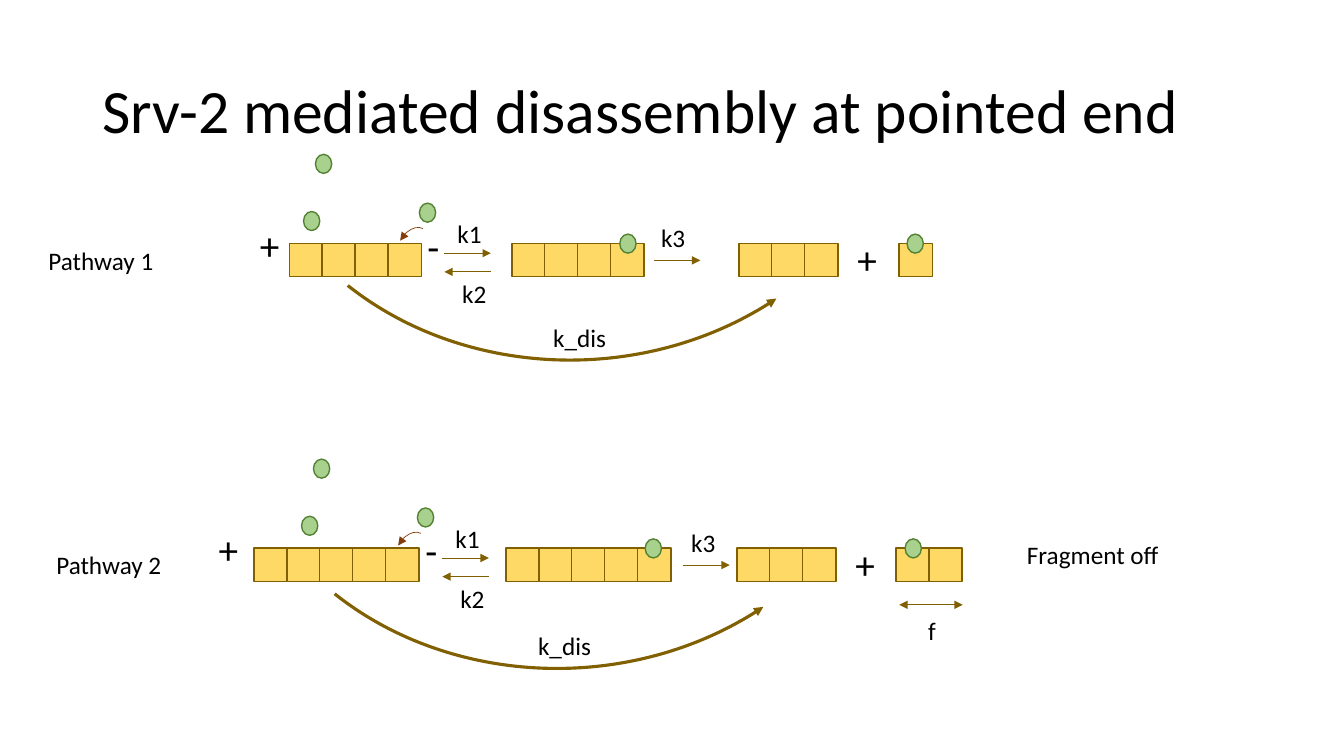
from pptx import Presentation, util as u
from pptx.dml.color import RGBColor
from pptx.enum import shapes as sh, text as tx
from pptx.oxml.ns import qn
from lxml import etree

Cm, Pt = u.Cm, u.Pt
KIND = sh.MSO_SHAPE
HUES = {"cell": "FFD966", "gold": "806000", "dot": "A9D18E",
        "green": "548235", "brown": "843C0B", "ink": "000000"}
CELL, PITCH = 0.84, 0.83


def draw(item, edge, width, fill=None, ends=()):
    item.line.color.rgb = RGBColor.from_string(HUES[edge])
    item.line.width = Pt(width)
    props = item._element.spPr
    for end in ends:
        etree.SubElement(props.find(qn("a:ln")), qn("a:" + end), type="triangle")
    etree.SubElement(props, qn("a:effectLst"))
    if fill:
        item.fill.solid()
        item.fill.fore_color.rgb = RGBColor.from_string(HUES[fill])


def label(home, words, x, y, wide, size=18):
    box = home.add_textbox(Cm(x), Cm(y), Cm(wide), Cm(1.45 if size > 18 else 1.02))
    box.text_frame.word_wrap = False
    box.text_frame.auto_size = tx.MSO_AUTO_SIZE.SHAPE_TO_FIT_TEXT
    para = box.text_frame.paragraphs[0]
    para.text = words
    para.font.size = Pt(size)
    para.font.name = "Calibri"
    para.font.color.rgb = RGBColor.from_string(HUES["ink"])


deck = Presentation()
deck.slide_width, deck.slide_height = Cm(33.87), Cm(19.05)
slide = deck.slides.add_slide(deck.slide_layouts[5])

title = slide.shapes.title
title.left, title.top, title.width, title.height = Cm(2.33), Cm(1.01), Cm(29.21), Cm(3.68)
title.text_frame.text = "Srv-2 mediated disassembly at pointed end"
title.text_frame.vertical_anchor = tx.MSO_ANCHOR.MIDDLE
head = title.text_frame.paragraphs[0]
head.alignment = tx.PP_ALIGN.LEFT
head.line_spacing = 0.9
head.font.size = Pt(44)
head.font.name = "Calibri"
head.font.color.rgb = RGBColor.from_string(HUES["ink"])

paths = [
    {"name": "Pathway 1", "left": 0.97, "dx": 0, "top": 6.13,
     "strips": [(7.29, 4), (12.9, 4), (18.62, 3), (22.66, 1)],
     "bound": [15.62, 22.86], "plus": 6.3, "k3": 16.41, "step": 16.48,
     "dis": (13.69, 1.87), "curve": (6.1, -11.54)},
    {"name": "Pathway 2", "left": 1.17, "dx": -0.05, "top": 13.81,
     "strips": [(6.4, 5), (12.75, 5), (18.57, 3), (22.58, 2)],
     "bound": [16.26, 22.81], "plus": 5.26, "k3": 17.17, "step": 17.22,
     "dis": (13.31, 1.96), "curve": (5.77, -11.45)},
]

for path in paths:
    top, dx = path["top"], path["dx"]
    group = slide.shapes.add_group_shape().shapes

    for left, count in path["strips"]:
        for i in range(count):
            cell = group.add_shape(KIND.RECTANGLE, Cm(left + i * PITCH), Cm(top),
                                   Cm(CELL), Cm(CELL))
            draw(cell, "gold", 1, "cell")

    dots = [(x, -0.23) for x in path["bound"]]
    dots += [(x + dx, y) for x, y in [(10.57, -1.01), (7.95, -2.24), (7.65, -0.8)]]
    for x, y in dots:
        dot = group.add_shape(KIND.OVAL, Cm(x), Cm(top + y), Cm(0.41), Cm(0.48))
        draw(dot, "green", 1, "dot")

    hook = group.add_shape(KIND.ARC, Cm(9.85 + dx), Cm(top - 0.25), Cm(1.09), Cm(0.71))
    hook.rotation = 299
    hook.fill.background()
    draw(hook, "brown", 0.5, ends=["headEnd"])

    for x1, x2, y in [(11.2 + dx, 12.37 + dx, 0.25), (12.37 + dx, 11.2 + dx, 0.72),
                      (path["step"], path["step"] + 1.17, 0.43)]:
        arrow = group.add_connector(sh.MSO_CONNECTOR.STRAIGHT, Cm(x1), Cm(top + y),
                                    Cm(x2), Cm(top + y))
        draw(arrow, "gold", 0.5, ends=["tailEnd"])

    for words, x, y, wide, size in [
            ("+", path["plus"], -0.69, 1.02, 28), ("-", 10.52 + dx, -0.66, 0.81, 28),
            ("+", 21.36 + dx, -0.33, 1.02, 28), ("k1", 11.28 + dx, -0.76, 1.12, 18),
            ("k2", 11.4 + dx, 0.76, 1.12, 18), ("k3", path["k3"], -0.64, 1.12, 18),
            ("k_dis", *path["dis"], 1.85, 18)]:
        label(group, words, x, top + y, wide, size)

    x, y = path["curve"]
    curve = slide.shapes.add_shape(KIND.ARC, Cm(x), Cm(top + y), Cm(16.76), Cm(14.48))
    curve.rotation = 177.2
    curve.adjustments[0], curve.adjustments[1] = 138.62, 191.78
    curve.fill.background()
    draw(curve, "gold", 2.25, ends=["headEnd"])

    label(slide.shapes, path["name"], path["left"], top - 0.08, 3.18)

label(slide.shapes, "Fragment off", 25.63, 13.46, 3.89)
label(slide.shapes, "f", 23.14, 15.39, 0.71)
span = slide.shapes.add_connector(sh.MSO_CONNECTOR.STRAIGHT, Cm(22.66), Cm(15.24),
                                  Cm(24.26), Cm(15.24))
draw(span, "gold", 0.5, ends=["headEnd", "tailEnd"])

deck.save("out.pptx")
